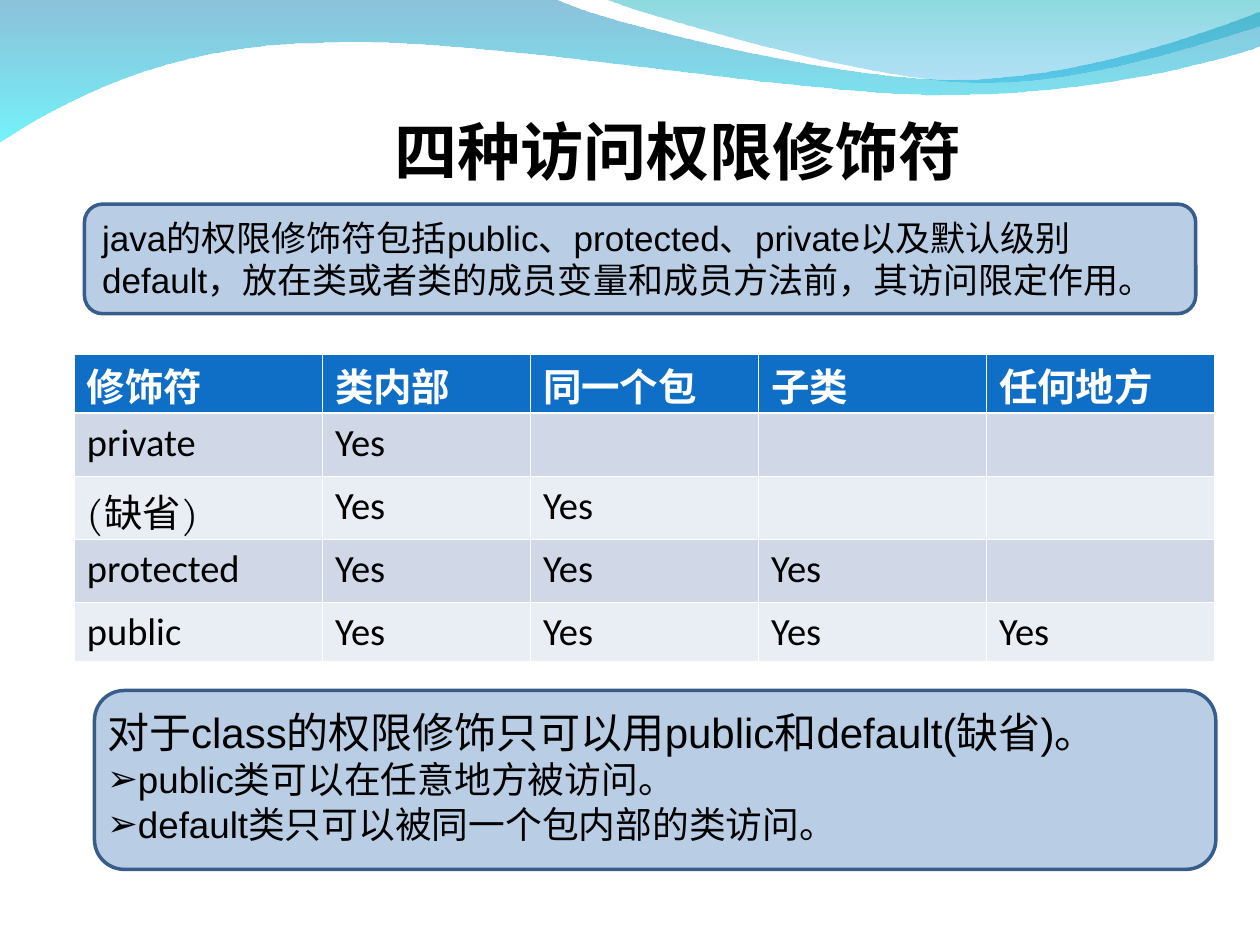
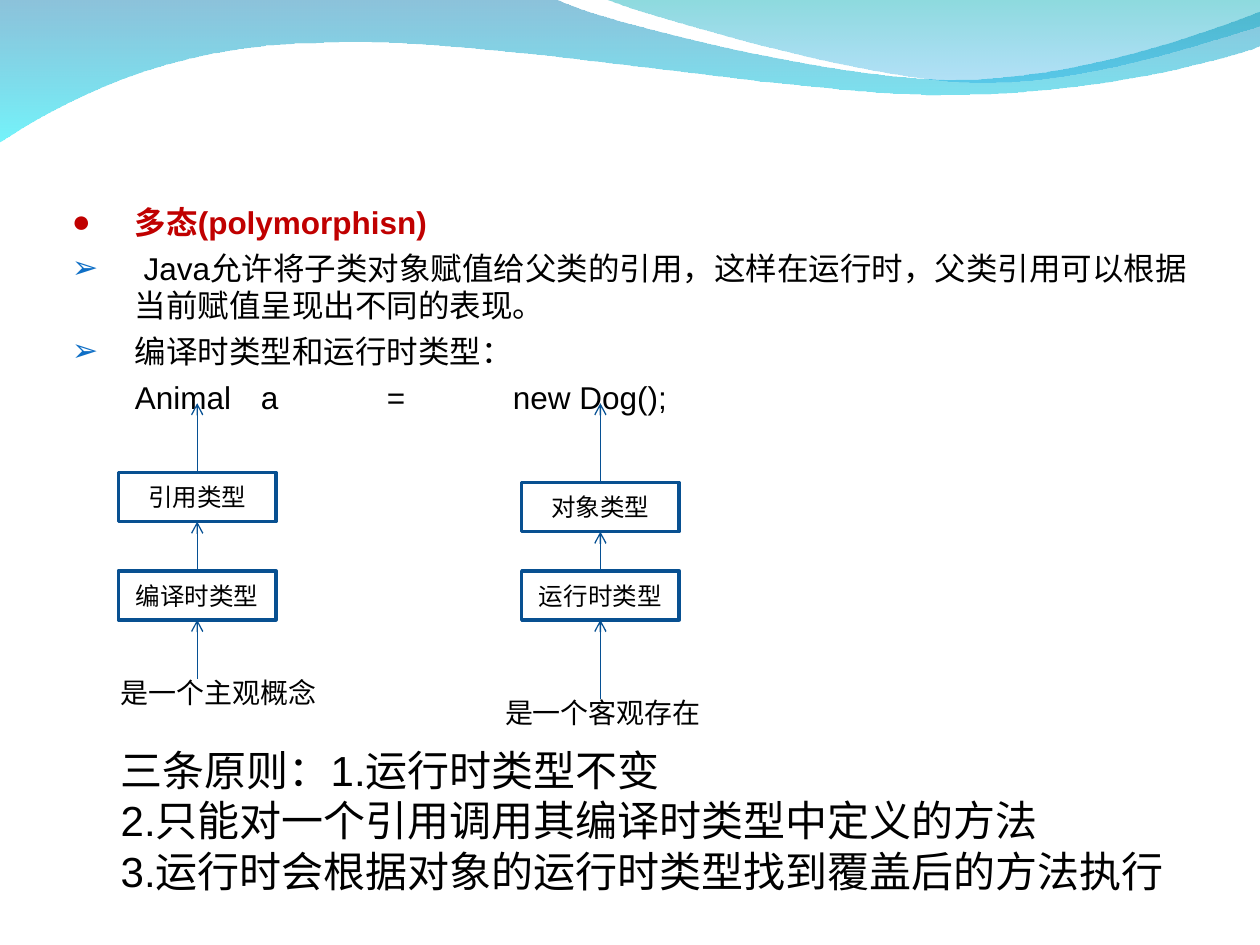
"""Build two slides on Java access modifiers and polymorphism."""
from dataclasses import dataclass

from lxml import etree
from pptx import Presentation
from pptx.dml.color import RGBColor
from pptx.enum.shapes import MSO_CONNECTOR, MSO_SHAPE
from pptx.enum.text import MSO_ANCHOR, MSO_AUTO_SIZE, PP_ALIGN
from pptx.oxml.ns import qn
from pptx.util import Inches, Pt

RECT, ROUND = MSO_SHAPE.RECTANGLE, MSO_SHAPE.ROUNDED_RECTANGLE
STRAIGHT = MSO_CONNECTOR.STRAIGHT
TOP, MIDDLE = MSO_ANCHOR.TOP, MSO_ANCHOR.MIDDLE
LEFT, CENTER = PP_ALIGN.LEFT, PP_ALIGN.CENTER
NO_FIT = MSO_AUTO_SIZE.NONE


@dataclass(frozen=True)
class Theme:
    text: str = "000000"
    white: str = "FFFFFF"
    accent: str = "0F6FC6"
    key: str = "C00000"
    panel: str = "B9CDE5"
    panel_line: str = "385D8A"
    box_line: str = "085091"
    arrow: str = "065093"
    bands: tuple = ("D0D8E8", "E9EDF4")
    font: str = "Arial"
    east: str = "Calibri"
    label_font: str = "TeX Gyre Pagella"
    table_font: str = "Calibri"
    header_font: str = "Noto Sans CJK SC"
    title: int = 36
    large: int = 24
    table: int = 22
    item: int = 21
    intro: int = 20
    body: int = 18
    caption: int = 16
    label: int = 14


T = Theme()

WAVES = [
    {"start": (0, -0.01),
     "parts": [[(4.4, -0.01)],
               [(4.76, 0.17), (6.64, 0.63), (7.58, 0.63)],
               [(8.53, 0.63), (9.58, 0.26), (10, 0.09)],
               [(10.01, 0.36)],
               [(9.83, 0.44), (8.7, 0.76), (7.46, 0.75)],
               [(6.22, 0.75), (3.82, 0.28), (2.57, 0.34)],
               [(1.29, 0.35), (0.46, 0.83), (-0.01, 1.13)]],
     "stops": [("0079AF", 45), ("00EBF8", 55)]},
    {"start": (4.79, -0.01),
     "parts": [[(5.09, 0.11), (6.82, 0.62), (7.69, 0.65)],
               [(8.56, 0.69), (9.61, 0.32), (10, 0.21)],
               [(10, 0)]],
     "stops": [("00ADB6", 45), ("009BE5", 30)]},
]

TITLE = "四种访问权限修饰符"
INTRO = ("java的权限修饰符包括public、protected、private以及默认级别default，"
         "放在类或者类的成员变量和成员方法前，其访问限定作用。")
HEADER = ["修饰符", "类内部", "同一个包", "子类", "任何地方"]
MODIFIERS = ["private", "(缺省)", "protected", "public"]
COL_WIDTHS = [1.97, 1.65, 1.81, 1.81, 1.81]
ROW_HEIGHTS = [0.47, 0.5, 0.5, 0.5, 0.47]
CLASS_RULES = [
    ("对于class的权限修饰只可以用public和default(缺省)。", {"size": T.large}),
    ("public类可以在任意地方被访问。", {"size": T.item, "bullet": "➢"}),
    ("default类只可以被同一个包内部的类访问。", {"size": T.item, "bullet": "➢"}),
]

POINT = {"bullet": "➢", "bullet_color": T.accent, "hang": 0.5, "before": 4.5}
POLYMORPHISM = [
    ("多态(polymorphisn)", {"bullet": "●", "bullet_color": T.key, "hang": 0.5,
                          "color": T.key, "bold": True}),
    (" Java允许将子类对象赋值给父类的引用，这样在运行时，父类引用可以根据"
     "当前赋值呈现出不同的表现。", POINT),
    ("编译时类型和运行时类型：", POINT),
    ("\tAnimal\ta\t\t=\t\tnew Dog();", {"before": 4.5}),
]
CHAINS = [
    {"left": 0.94, "boxes": [("引用类型", 3.75), ("编译时类型", 4.53)],
     "caption": ("是一个主观概念", 0.86, 5.31)},
    {"left": 4.14, "boxes": [("对象类型", 3.83), ("运行时类型", 4.53)],
     "caption": ("是一个客观存在", 3.91, 5.47)},
]
BOX_W, BOX_H, CODE_Y = 1.25, 0.39, 3.2
PRINCIPLES = [
    "三条原则：1.运行时类型不变",
    "2.只能对一个引用调用其编译时类型中定义的方法",
    "3.运行时会根据对象的运行时类型找到覆盖后的方法执行",
]


def rgb(value):
    return RGBColor.from_string(value)


def child(parent, tag, **attrs):
    return etree.SubElement(parent, qn(tag), {k: str(v) for k, v in attrs.items()})


def write(p, text, size=T.body, color=T.text, bold=False, font=T.font, east=T.east,
          align=LEFT, bullet=None, bullet_color=T.text, hang=0, before=0):
    pPr = p._p.get_or_add_pPr()
    pPr.set("marL", str(Inches(hang)))
    pPr.set("indent", str(-Inches(hang)))
    if bullet:
        child(child(pPr, "a:buClr"), "a:srgbClr", val=bullet_color)
        child(pPr, "a:buChar", char=bullet)
    else:
        child(pPr, "a:buNone")
    p.alignment, p.space_before = align, Pt(before)
    r = p.add_run()
    r.text = text
    r.font.size, r.font.bold, r.font.name = Pt(size), bold, font
    r.font.color.rgb = rgb(color)
    child(r.font._element, "a:ea", typeface=east)


def fill_text(sp, lines, anchor=TOP, **fmt):
    tf = sp.text_frame
    tf.word_wrap, tf.auto_size, tf.vertical_anchor = True, NO_FIT, anchor
    for i, (text, extra) in enumerate(lines):
        write(tf.add_paragraph() if i else tf.paragraphs[0], text, **{**fmt, **extra})


def place(sp, *box):
    sp.left, sp.top, sp.width, sp.height = map(Inches, box)
    return sp


def add_text(s, box, lines, **fmt):
    fill_text(s.shapes.add_textbox(*map(Inches, box)), lines, **fmt)


def add_box(s, kind, box, line, fill=None):
    sp = s.shapes.add_shape(kind, *map(Inches, box))
    sp.shadow.inherit = False
    if fill:
        sp.fill.solid()
        sp.fill.fore_color.rgb = rgb(fill)
    else:
        sp.fill.background()
    sp.line.color.rgb, sp.line.width = rgb(line), Pt(2)
    return sp


def add_arrow(s, x, start, end):
    line = s.shapes.add_connector(STRAIGHT, *map(Inches, (x, start, x, end)))
    line.line.color.rgb, line.line.width = rgb(T.arrow), Pt(0.75)
    child(line.line._get_or_add_ln(), "a:tailEnd", type="arrow")
    child(line.element.spPr, "a:effectLst")


def bend(sp, parts):
    segments = iter(list(sp.element.iter(qn("a:lnTo"))))
    for part in parts:
        lines = [next(segments) for _ in part]
        if len(part) == 3:
            curve = etree.Element(qn("a:cubicBezTo"))
            lines[0].addprevious(curve)
            for line in lines:
                curve.append(line[0])
                line.getparent().remove(line)


def add_waves(prs, s):
    tree = prs.slide_master.shapes.element
    for i, wave in enumerate(WAVES):
        start, *points = [(Inches(x), Inches(y)) for part in [[wave["start"]], *wave["parts"]]
                          for x, y in part]
        builder = s.shapes.build_freeform(*start)
        builder.add_line_segments(points, close=True)
        sp = builder.convert_to_shape()
        bend(sp, wave["parts"])
        sp.shadow.inherit = False
        sp.line.fill.background()
        sp.fill.gradient()
        sp.fill.gradient_angle = 270
        for stop, (color, _) in zip(sp.fill.gradient_stops, wave["stops"]):
            stop.color.rgb = rgb(color)
        colors = sp.element.spPr.iter(qn("a:srgbClr"))
        for color, (_, alpha) in zip(colors, wave["stops"]):
            child(color, "a:alpha", val=alpha * 1000)
        tree.insert(2 + i, sp.element)


def set_borders(tcPr, row):
    widths = {"L": 0.45, "R": 0.45, "T": 1.47 if row == 1 else 0.45,
              "B": 1.47 if row == 0 else 0.45}
    for i, (side, width) in enumerate(widths.items()):
        ln = child(tcPr, f"a:ln{side}", w=Pt(width))
        child(child(ln, "a:solidFill"), "a:srgbClr", val=T.white)
        tcPr.insert(i, ln)


def add_access_table(s):
    rows = [HEADER] + [[name] + ["Yes"] * n + [""] * (4 - n)
                       for n, name in enumerate(MODIFIERS, 1)]
    frame = s.shapes.add_table(len(rows), len(HEADER), *map(
        Inches, (0.59, 2.81, sum(COL_WIDTHS), sum(ROW_HEIGHTS))))
    table = frame.table
    for col, width in zip(table.columns, COL_WIDTHS):
        col.width = Inches(width)
    for r, values in enumerate(rows):
        table.rows[r].height = Inches(ROW_HEIGHTS[r])
        for c, value in enumerate(values):
            cell = table.cell(r, c)
            cell.margin_top = Inches(0.05 if r else 0.02)
            cell.margin_bottom = 0
            cell.fill.solid()
            cell.fill.fore_color.rgb = rgb(T.bands[(r - 1) % 2] if r else T.accent)
            set_borders(cell._tc.tcPr, r)
            if r == 0:
                fmt = {"font": T.header_font, "color": T.white, "bold": True}
            else:
                fmt = {"font": T.label_font if value == "(缺省)" else T.table_font}
            if value:
                write(cell.text_frame.paragraphs[0], value, size=T.table,
                      east=T.header_font, **fmt)


def build_modifiers(s):
    fill_text(place(s.shapes.title, 3.03, 0.84, 4.96, 0.7), [(TITLE, {})],
              size=T.title, bold=True)
    add_box(s, ROUND, (0.75, 5.48, 8.9, 1.42), T.panel_line, T.panel)
    intro = add_box(s, ROUND, (0.67, 1.62, 8.82, 0.87), T.panel_line, T.panel)
    fill_text(intro, [(INTRO, {})], anchor=MIDDLE, size=T.intro)
    add_access_table(s)
    body = place(s.placeholders[1], 0.75, 5.56, 8.9, 1.2)
    fill_text(body, CLASS_RULES)
    s.shapes.element.append(body.element)


def build_polymorphism(s):
    title = s.shapes.title.element
    title.getparent().remove(title)
    fill_text(place(s.placeholders[1], 0.47, 1.56, 9.21, 5.67), POLYMORPHISM)
    for chain in CHAINS:
        for label, top in chain["boxes"]:
            box = add_box(s, RECT, (chain["left"], top, BOX_W, BOX_H), T.box_line)
            fill_text(box, [(label, {})], anchor=MIDDLE, size=T.label,
                      font=T.label_font, align=CENTER)
        text, left, top = chain["caption"]
        add_text(s, (left, top, 1.92, 0.37), [(text, {})], size=T.caption)
        tops = [y for _, y in chain["boxes"]]
        ends = [CODE_Y] + [y + BOX_H for y in tops]
        for start, end in zip(tops + [top + 0.08], ends):
            add_arrow(s, chain["left"] + BOX_W / 2, start, end)
    add_text(s, (0.86, 5.86, 8.75, 1.3), [(line, {}) for line in PRINCIPLES], size=T.large)


def main():
    prs = Presentation()
    prs.slide_width, prs.slide_height = Inches(10), Inches(7.5)
    layout = prs.slide_layouts[1]
    modifiers, polymorphism = (prs.slides.add_slide(layout) for _ in range(2))
    add_waves(prs, modifiers)
    build_modifiers(modifiers)
    build_polymorphism(polymorphism)
    prs.save("out.pptx")


if __name__ == "__main__":
    main()
